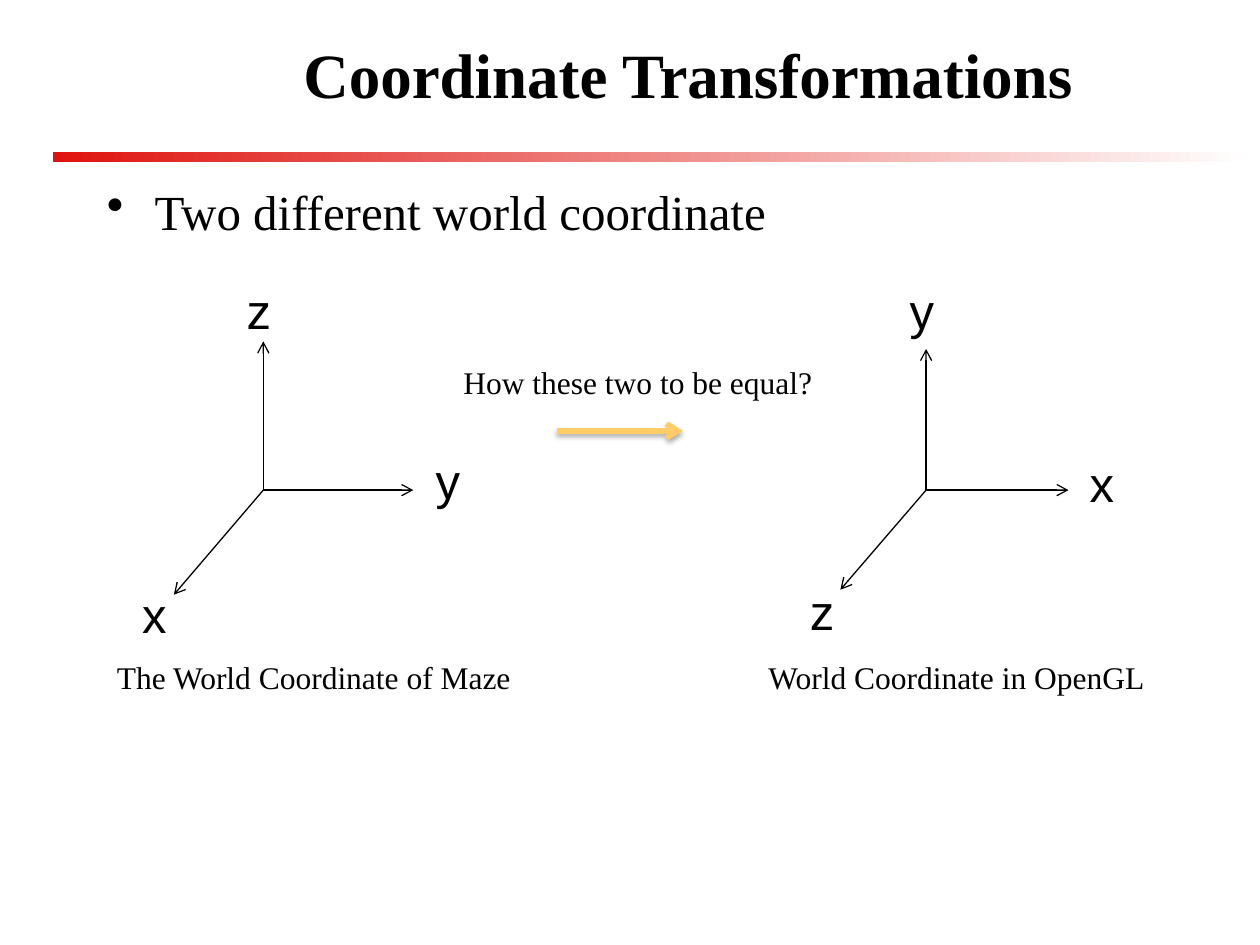
from lxml import etree
from pptx import Presentation
from pptx.dml.color import RGBColor
from pptx.enum.shapes import MSO_CONNECTOR, MSO_SHAPE
from pptx.enum.text import MSO_ANCHOR, PP_ALIGN
from pptx.oxml import parse_xml
from pptx.oxml.ns import nsdecls, qn
from pptx.util import Inches, Pt

STRAIGHT = MSO_CONNECTOR.STRAIGHT
RECTANGLE = MSO_SHAPE.RECTANGLE
TOP, MIDDLE = MSO_ANCHOR.TOP, MSO_ANCHOR.MIDDLE
CENTER = PP_ALIGN.CENTER
BLACK = RGBColor(0x00, 0x00, 0x00)
WHITE = RGBColor(0xFF, 0xFF, 0xFF)
RED = RGBColor(0xDF, 0x14, 0x0F)
GOLD = RGBColor(0xFF, 0xCC, 0x66)
SERIF, SANS = "Times New Roman", "Arial"


def add_text(shapes, text, left, top, width, height, size, font=SERIF):
    s = shapes.add_textbox(Inches(left), Inches(top), Inches(width), Inches(height))
    tf = s.text_frame
    tf.word_wrap = True
    tf.vertical_anchor = TOP
    p = tf.paragraphs[0]
    p.text = text
    p.font.size = Pt(size)
    p.font.name = font
    p.font.color.rgb = BLACK
    return s


def add_arrow(shapes, start, end, color, width):
    """Draw an open-headed arrow and return its empty effect list."""
    s = shapes.add_connector(STRAIGHT, *(Inches(v) for v in (*start, *end)))
    s.line.color.rgb = color
    s.line.width = Pt(width)
    etree.SubElement(s.line._get_or_add_ln(), qn("a:tailEnd"), type="arrow")
    return etree.SubElement(s._element.spPr, qn("a:effectLst"))


prs = Presentation()
prs.slide_width, prs.slide_height = Inches(10), Inches(7.5)
shapes = prs.slides.add_slide(prs.slide_layouts[6]).shapes

# Fading rule under the title
rule = shapes.add_shape(RECTANGLE, Inches(0.42), Inches(1.21), Inches(9.5), Inches(0.08))
rule.shadow.inherit = False
rule.line.fill.background()
rule.fill.gradient()
rule.fill.gradient_angle = 0
for stop, position, color in zip(rule.fill.gradient_stops, (0, 1), (RED, WHITE)):
    stop.position = position
    stop.color.rgb = color

title = add_text(shapes, "Coordinate Transformations", 1.17, 0.17, 8.58, 0.83, 36)
title.text_frame.vertical_anchor = MIDDLE
p = title.text_frame.paragraphs[0]
p.alignment = CENTER
p.font.bold = True

body = add_text(shapes, "Two different world coordinate", 0.75, 1.39, 8.83, 5.06, 28)
pPr = body.text_frame.paragraphs[0]._p.get_or_add_pPr()
pPr.set("marL", str(Inches(0.38)))
pPr.set("indent", str(-Inches(0.38)))
bullet = parse_xml(f'<a:buChar {nsdecls("a")} char="•"/>')
pPr.insert(0, bullet)

# Each system: origin, label width, then (arrow tip, label, label corner) per axis
systems = [
    ((2.09, 3.89), 0.47, [((2.09, 2.71), "z", (1.86, 2.18)),
                          ((3.28, 3.89), "y", (3.36, 3.53)),
                          ((1.38, 4.72), "x", (1.03, 4.59))]),
    ((7.35, 3.89), 0.45, [((7.35, 2.77), "y", (7.12, 2.18)),
                          ((8.48, 3.89), "x", (8.55, 3.55)),
                          ((6.67, 4.68), "z", (6.33, 4.57))]),
]
for origin, label_width, axes in systems:
    group = shapes.add_group_shape()
    for tip, label, corner in axes:
        add_arrow(group.shapes, origin, tip, BLACK, 0.75)
        add_text(group.shapes, label, *corner, label_width, 0.57, 28, SANS)

add_text(shapes, "The World Coordinate of Maze", 0.83, 5.17, 3.83, 0.4, 18)
add_text(shapes, "World Coordinate in OpenGL", 6, 5.17, 3.58, 0.4, 18)

effects = add_arrow(shapes, (4.42, 3.42), (5.42, 3.42), GOLD, 3)
effects.append(parse_xml(
    f'<a:outerShdw {nsdecls("a")} blurRad="{Pt(3.1)}" dist="{Pt(1.8)}" dir="5400000"'
    ' rotWithShape="0"><a:srgbClr val="000000"><a:alpha val="35000"/></a:srgbClr>'
    '</a:outerShdw>'))
add_text(shapes, "How these two to be equal?", 3.58, 2.83, 3.67, 0.4, 18)

prs.save("out.pptx")
